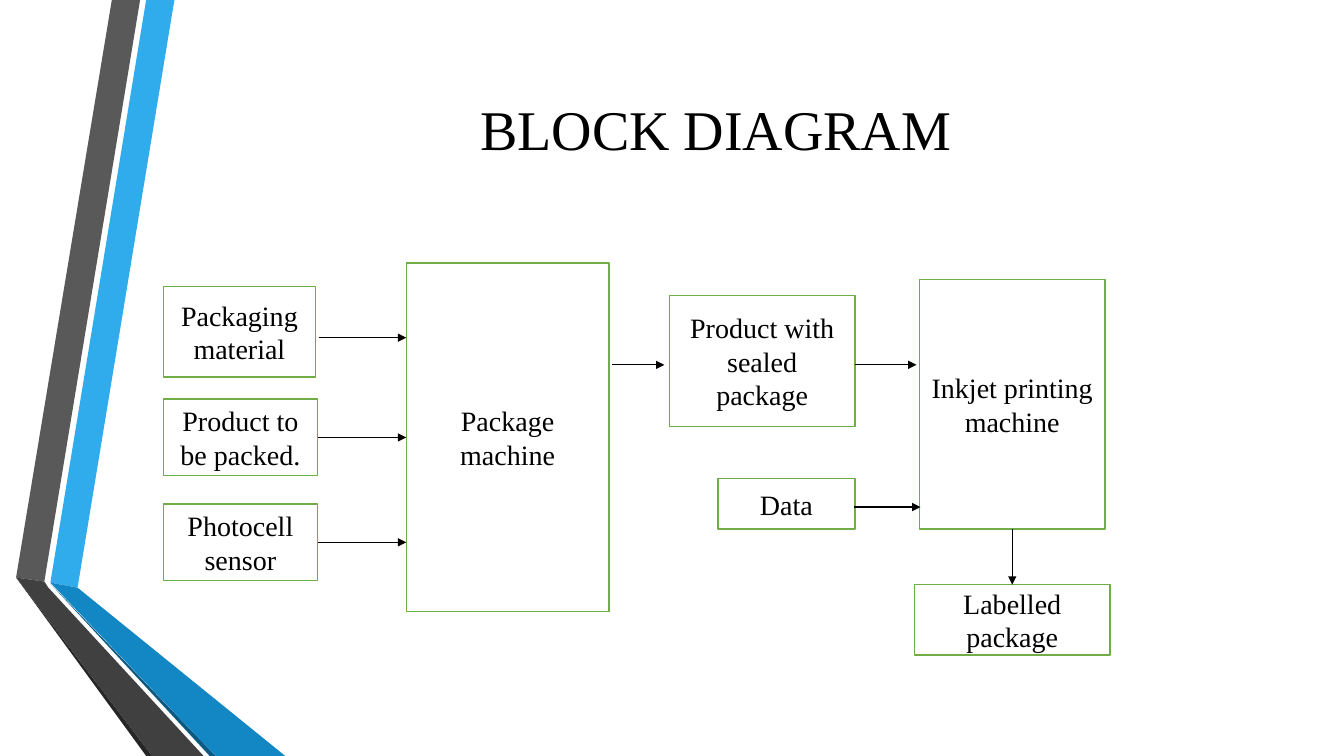
from lxml.etree import SubElement
from pptx import Presentation
from pptx.dml.color import RGBColor
from pptx.enum.shapes import MSO_CONNECTOR, MSO_SHAPE
from pptx.enum.text import MSO_ANCHOR, PP_ALIGN
from pptx.oxml.ns import qn
from pptx.util import Inches, Pt

BLACK = RGBColor(0x00, 0x00, 0x00)
WHITE = RGBColor(0xFF, 0xFF, 0xFF)
GREEN = RGBColor(0x70, 0xAD, 0x47)
SKY = RGBColor(0x30, 0xAC, 0xEC)
BLUE = RGBColor(0x12, 0x87, 0xC3)
NAVY = RGBColor(0x0C, 0x5A, 0x82)
GRAY = RGBColor(0x59, 0x59, 0x59)
DARK_GRAY = RGBColor(0x40, 0x40, 0x40)
CHARCOAL = RGBColor(0x26, 0x26, 0x26)

TOP, LEFT, BOTTOM, RIGHT = range(4)

RIBBONS = [
    (SKY, [(0.5, 5.78), (0.77, 5.83), (1.73, 0), (1.45, 0)]),
    (GRAY, [(1.39, 0), (1.11, 0), (0.16, 5.73), (0.44, 5.77)]),
    (CHARCOAL, [(0.16, 5.73), (1.45, 7.5), (1.51, 7.5)]),
    (NAVY, [(0.5, 5.79), (2.08, 7.5), (2.14, 7.5)]),
    (BLUE, [(0.5, 5.78), (2.14, 7.5), (2.83, 7.5), (0.77, 5.83)]),
    (DARK_GRAY, [(2.02, 7.5), (0.48, 5.83), (0.44, 5.77), (0.16, 5.73), (1.51, 7.5)]),
]

BLOCKS = [
    ("Inkjet printing machine", 9.12, 2.77, 1.84, 2.48),
    ("Labelled package", 9.07, 5.8, 1.94, 0.7),
    ("Package machine", 4.03, 2.61, 2.01, 3.46),
    ("Packaging material", 1.62, 2.84, 1.51, 0.9),
    ("Data", 7.12, 4.75, 1.36, 0.5),
    ("Product to be packed.", 1.62, 3.96, 1.53, 0.76),
    ("Product with sealed package", 6.64, 2.93, 1.84, 1.3),
    ("Photocell sensor", 1.62, 5, 1.53, 0.76),
]

# start, end, (block, side) joined at the start, (block, side) joined at the end
ARROWS = [
    ((8.48, 3.62), (9.09, 3.62), None, None),
    ((6.07, 3.62), (6.59, 3.62), None, None),
    ((8.47, 5.03), (9.13, 5.03), None, None),
    ((3.16, 3.35), (4.03, 3.35), None, None),
    ((3.15, 4.34), (4.03, 4.34), ("Product to be packed.", RIGHT), ("Package machine", LEFT)),
    ((3.15, 5.38), (4.03, 5.38), ("Photocell sensor", RIGHT), None),
    ((10.04, 5.25), (10.04, 5.8), ("Inkjet printing machine", BOTTOM), ("Labelled package", TOP)),
]


class BlockDiagram:
    """Holds the text style, the current slide and its named blocks."""

    font = "Times New Roman"

    def __init__(self, slide):
        self.slide = slide
        self.blocks = {}

    def set_text(self, sp, text, size):
        tf = sp.text_frame
        tf.word_wrap = True
        tf.vertical_anchor = MSO_ANCHOR.MIDDLE
        p = tf.paragraphs[0]
        p.text = text
        p.alignment = PP_ALIGN.CENTER
        p.font.name = self.font
        p.font.size = Pt(size)
        p.font.color.rgb = BLACK

    def title(self, text, x, y, w, h):
        sp = self.slide.shapes.title
        sp.left, sp.top, sp.width, sp.height = map(Inches, (x, y, w, h))
        self.set_text(sp, text, 40)

    def ribbon(self, color, points):
        start, *rest = [(Inches(x), Inches(y)) for x, y in points]
        builder = self.slide.shapes.build_freeform(*start)
        builder.add_line_segments(rest, close=True)
        sp = builder.convert_to_shape()
        sp.shadow.inherit = False
        sp.fill.solid()
        sp.fill.fore_color.rgb = color
        sp.line.fill.background()

    def block(self, text, x, y, w, h):
        sp = self.slide.shapes.add_shape(MSO_SHAPE.RECTANGLE, *map(Inches, (x, y, w, h)))
        sp.shadow.inherit = False
        sp.fill.solid()
        sp.fill.fore_color.rgb = WHITE
        sp.line.color.rgb = GREEN
        sp.line.width = Pt(1)
        self.set_text(sp, text, 20)
        self.blocks[text] = sp

    def arrow(self, start, end, source, target):
        line = self.slide.shapes.add_connector(
            MSO_CONNECTOR.STRAIGHT, *map(Inches, (*start, *end)))
        if source:
            line.begin_connect(self.blocks[source[0]], source[1])
        if target:
            line.end_connect(self.blocks[target[0]], target[1])
        line.line.color.rgb = BLACK
        line.line.width = Pt(0.75)
        props = line._element.spPr
        SubElement(props.find(qn("a:ln")), qn("a:tailEnd"), type="triangle")
        SubElement(props, qn("a:effectLst"))


def main():
    prs = Presentation()
    prs.slide_width = Inches(13.33)
    prs.slide_height = Inches(7.5)
    diagram = BlockDiagram(prs.slides.add_slide(prs.slide_layouts[5]))
    for ribbon in RIBBONS:
        diagram.ribbon(*ribbon)
    diagram.title("BLOCK DIAGRAM", 1.62, 0.75, 10.96, 1.05)
    for block in BLOCKS:
        diagram.block(*block)
    for arrow in ARROWS:
        diagram.arrow(*arrow)
    prs.save("out.pptx")


if __name__ == "__main__":
    main()
